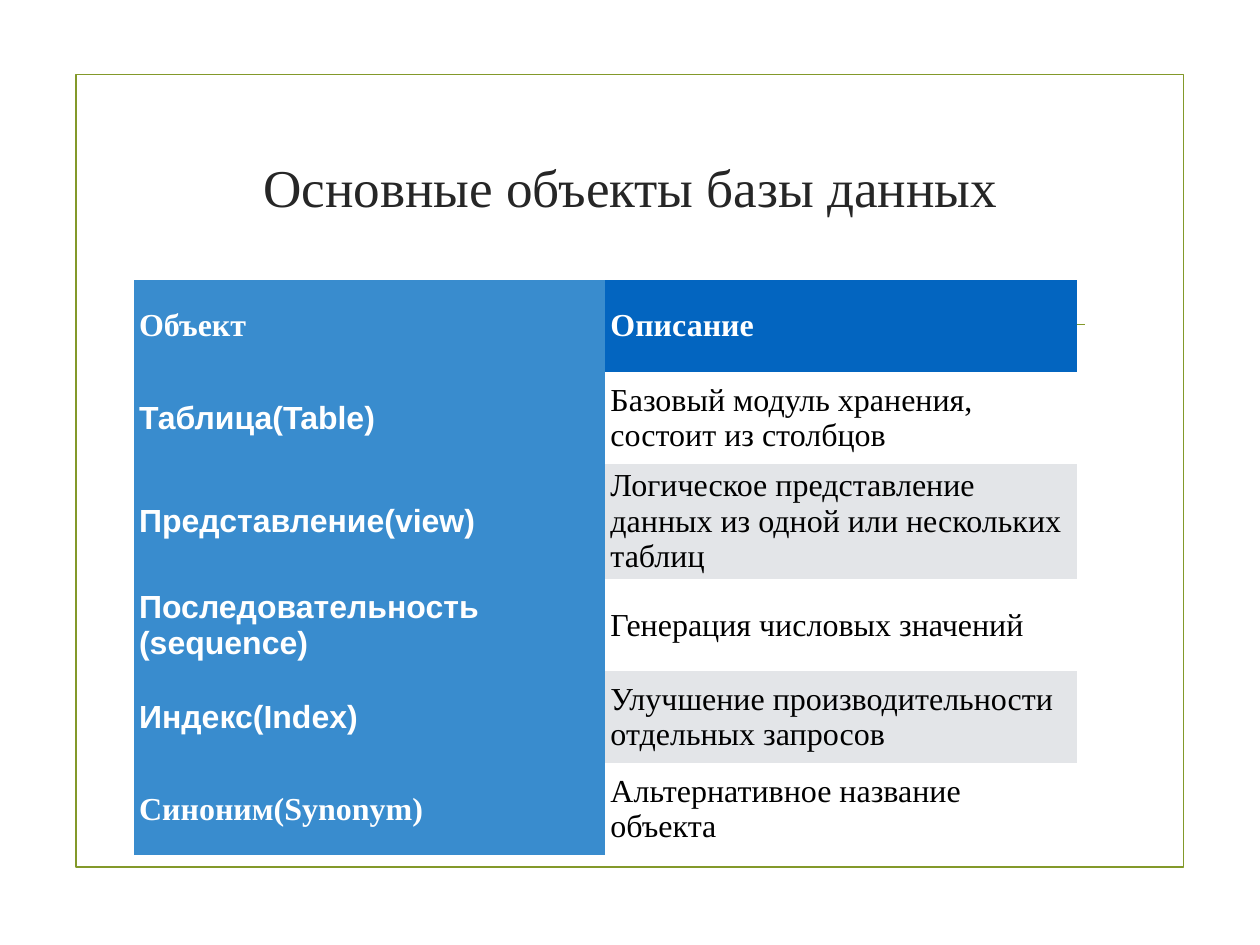
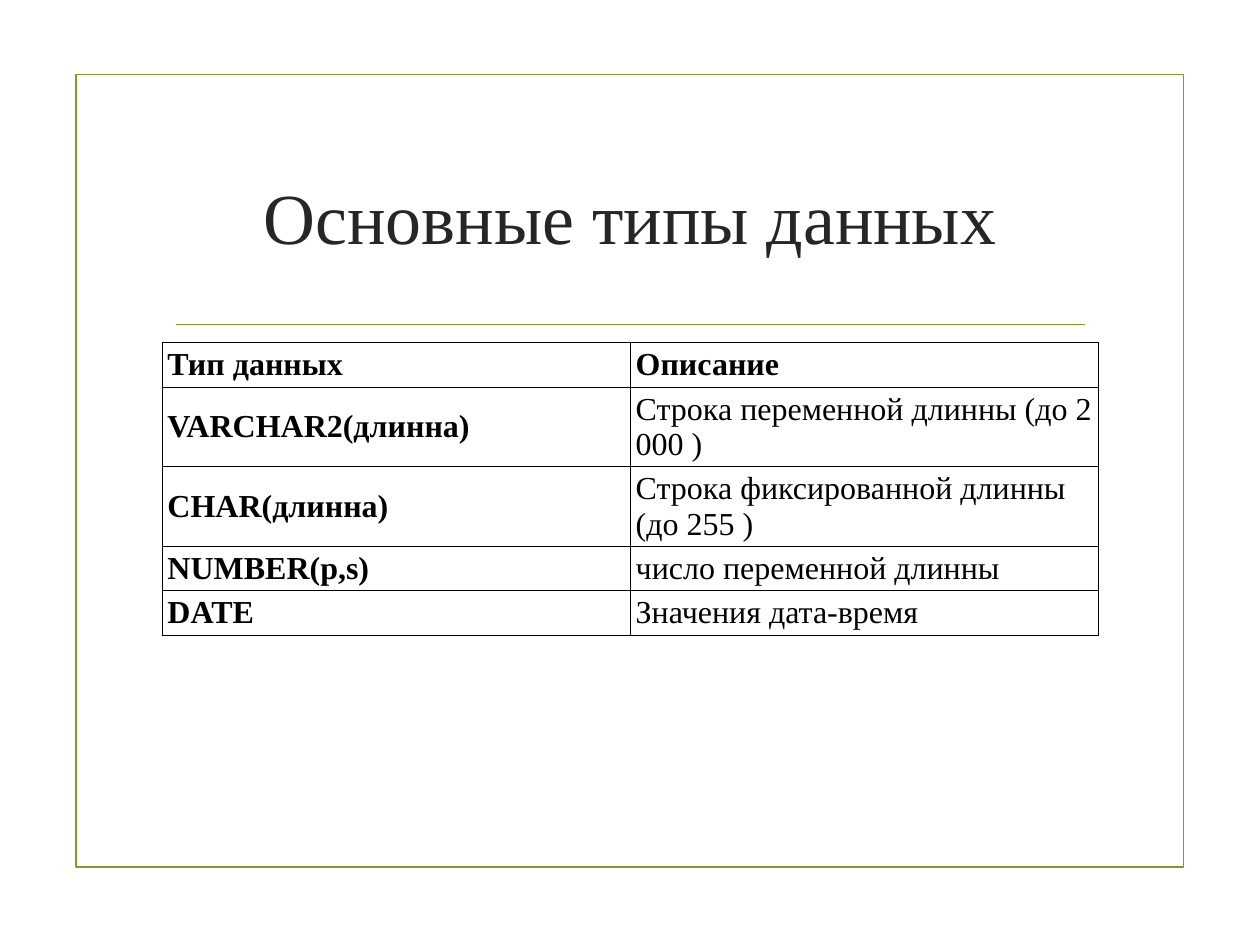
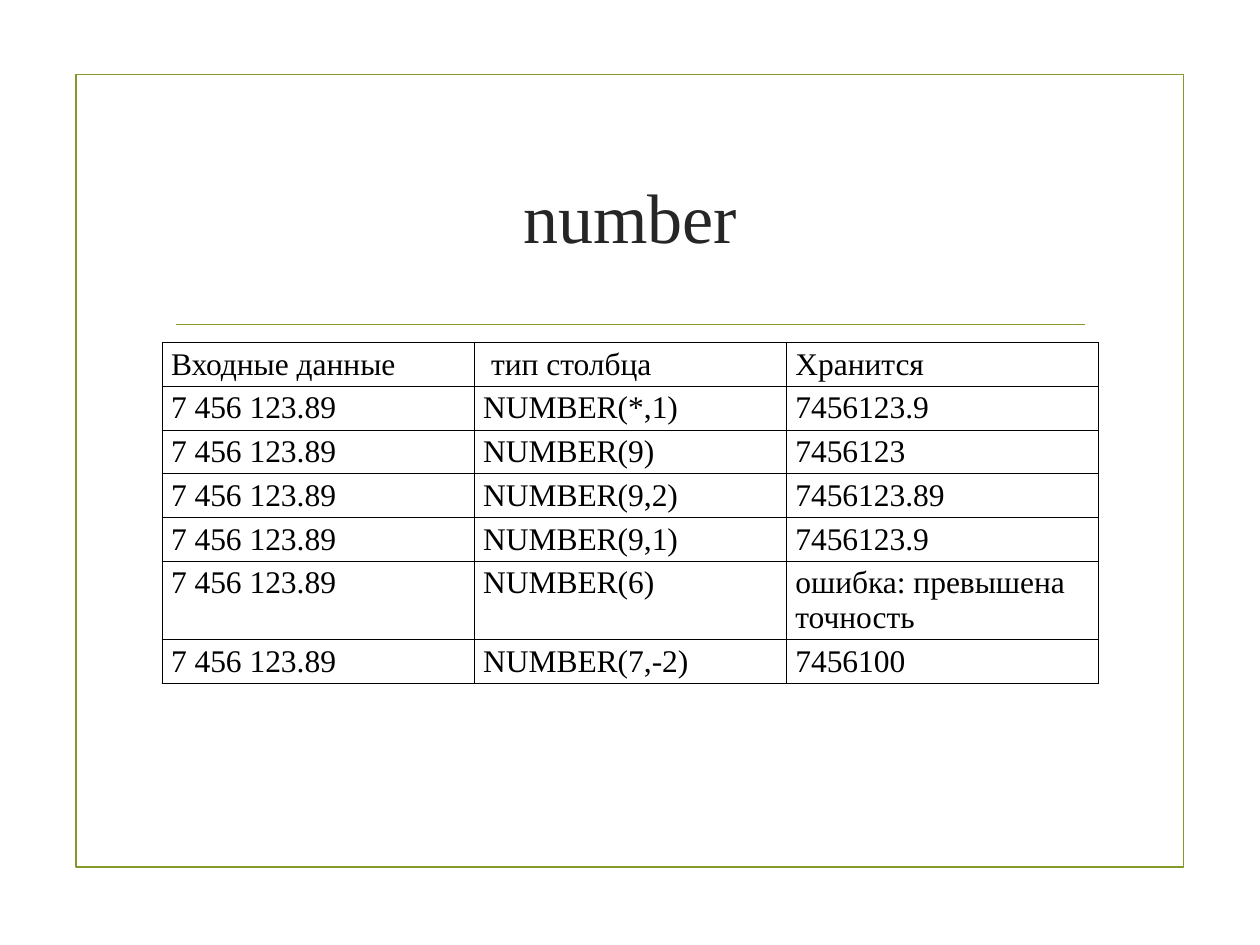
from lxml import etree
from pptx import Presentation
from pptx.dml.color import RGBColor
from pptx.enum.shapes import MSO_CONNECTOR, MSO_SHAPE
from pptx.enum.text import MSO_ANCHOR, MSO_AUTO_SIZE, PP_ALIGN
from pptx.oxml import parse_xml
from pptx.oxml.ns import nsdecls, qn
from pptx.util import Inches, Pt

STRAIGHT, RECTANGLE = MSO_CONNECTOR.STRAIGHT, MSO_SHAPE.RECTANGLE
TOP, MIDDLE = MSO_ANCHOR.TOP, MSO_ANCHOR.MIDDLE
CENTER, NO_AUTOFIT = PP_ALIGN.CENTER, MSO_AUTO_SIZE.NONE

SERIF, SANS = "Times New Roman", "Arial"
OLIVE, TITLE_GRAY, BLACK, WHITE = "83992A", "262626", "000000", "FFFFFF"
LIGHT_BLUE, DARK_BLUE, BAND_GRAY = "398CCE", "0365C0", "E3E5E8"
NO_TABLE_STYLE = "{2D5ABB26-0587-4C30-8999-92F81FD0307C}"


def color(value):
    return RGBColor.from_string(value)


def add_borders(cell):
    properties = cell._tc.get_or_add_tcPr()
    for position, side in enumerate(("lnL", "lnR", "lnT", "lnB")):
        properties.insert(position, parse_xml(
            f'<a:{side} {nsdecls("a")} w="{Pt(0.96)}"><a:solidFill>'
            f'<a:srgbClr val="{BLACK}"/></a:solidFill></a:{side}>'))


# Content
INPUT = "7 456 123.89"
SLIDES = [
    {
        "title": "Основные объекты базы данных", "title_size": 43.2, "title_lift": 0.66,
        "place": (1.51, 3.16, 10.64), "row_height": 1.04, "size": 26,
        "filled": True, "headed": True,
        "rows": [
            ("Объект", "Описание"),
            ("Таблица(Table)", "Базовый модуль хранения, состоит из столбцов"),
            ("Представление(view)",
             "Логическое представление данных из одной или нескольких таблиц"),
            ("Последовательность\n(sequence)", "Генерация числовых значений"),
            ("Индекс(Index)", "Улучшение производительности отдельных запросов"),
            ("Синоним(Synonym)", "Альтернативное название объекта"),
        ],
    },
    {
        "title": "Основные типы данных", "title_size": 58.4, "title_lift": 0,
        "place": (1.83, 3.87, 10.57), "row_height": 0.41, "size": 26,
        "filled": False, "headed": True,
        "rows": [
            ("Тип данных", "Описание"),
            ("VARCHAR2(длинна)", "Строка переменной длинны (до 2 000 )"),
            ("CHAR(длинна)", "Строка фиксированной длинны (до 255 )"),
            ("NUMBER(p,s)", "число переменной длинны"),
            ("DATE", "Значения дата-время"),
        ],
    },
    {
        "title": "number", "title_size": 56.9, "title_lift": 0,
        "place": (1.83, 3.87, 10.57), "row_height": 0.41, "size": 25.6,
        "filled": False, "headed": False,
        "rows": [
            ("Входные данные", " тип столбца", "Хранится"),
            (INPUT, "NUMBER(*,1)", "7456123.9"),
            (INPUT, "NUMBER(9)", "7456123"),
            (INPUT, "NUMBER(9,2)", "7456123.89"),
            (INPUT, "NUMBER(9,1)", "7456123.9"),
            (INPUT, "NUMBER(6)", "ошибка: превышена точность"),
            (INPUT, "NUMBER(7,-2)", "7456100"),
        ],
    },
]

presentation = Presentation()
presentation.slide_width, presentation.slide_height = Inches(14.22), Inches(10.67)
layout = presentation.slide_layouts[5]
slides = [presentation.slides.add_slide(layout) for _ in SLIDES]

# Shared frame and title rule, moved to the layout
frame = slides[0].shapes.add_shape(
    RECTANGLE, Inches(0.86), Inches(0.84), Inches(12.5), Inches(8.95))
frame.fill.background()
frame.line.width = Pt(1.25)
frame.shadow.inherit = False
rule = slides[0].shapes.add_connector(
    STRAIGHT, Inches(1.99), Inches(3.66), Inches(12.25), Inches(3.66))
rule.line.width = Pt(0.75)
etree.SubElement(rule.element.spPr, qn("a:effectLst"))
for shape_id, shape in enumerate((frame, rule), start=20):
    shape.line.color.rgb = color(OLIVE)
    shape.element.xpath(".//p:cNvPr")[0].set("id", str(shape_id))
    layout.shapes.element.append(shape.element)

for slide, content in zip(slides, SLIDES):
    # Title
    title = slide.shapes.title
    title.left, title.top = Inches(1.83), Inches(1.42)
    title.width, title.height = Inches(10.57), Inches(2.03)
    title.text_frame.text = content["title"]
    title.text_frame.word_wrap = True
    title.text_frame.auto_size = NO_AUTOFIT
    title.text_frame.vertical_anchor = MIDDLE
    title.text_frame.margin_bottom = Inches(0.05 + content["title_lift"])
    paragraph = title.text_frame.paragraphs[0]
    paragraph.alignment = CENTER
    paragraph.font.name = SERIF
    paragraph.font.size = Pt(content["title_size"])
    paragraph.font.color.rgb = color(TITLE_GRAY)

    # Table
    rows, filled, headed = content["rows"], content["filled"], content["headed"]
    left, top, width = content["place"]
    graphic_frame = slide.shapes.add_table(
        len(rows), len(rows[0]), Inches(left), Inches(top), Inches(width),
        Inches(content["row_height"] * len(rows)))
    graphic_frame.element.xpath(".//a:tableStyleId")[0].text = NO_TABLE_STYLE
    table = graphic_frame.table
    table.horz_banding = False
    table.first_row = headed
    table.first_col = headed

    for row_index, row in enumerate(rows):
        for column_index, text in enumerate(row):
            cell = table.cell(row_index, column_index)
            cell.text = text
            is_header = headed and (row_index == 0 or column_index == 0)
            cell.vertical_anchor = MIDDLE if headed else TOP
            if headed:
                cell.margin_left = cell.margin_right = Inches(0.06)

            if filled:
                if column_index == 0:
                    fill = LIGHT_BLUE
                elif row_index == 0:
                    fill = DARK_BLUE
                else:
                    fill = WHITE if row_index % 2 else BAND_GRAY
                cell.fill.solid()
                cell.fill.fore_color.rgb = color(fill)
            else:
                cell.fill.background()
                add_borders(cell)

            is_sans = filled and column_index == 0 and 0 < row_index < len(rows) - 1
            for paragraph in cell.text_frame.paragraphs:
                paragraph.font.name = SANS if is_sans else SERIF
                paragraph.font.size = Pt(content["size"])
                paragraph.font.bold = is_header
                paragraph.font.color.rgb = color(WHITE if filled and is_header else BLACK)

presentation.save("out.pptx")
